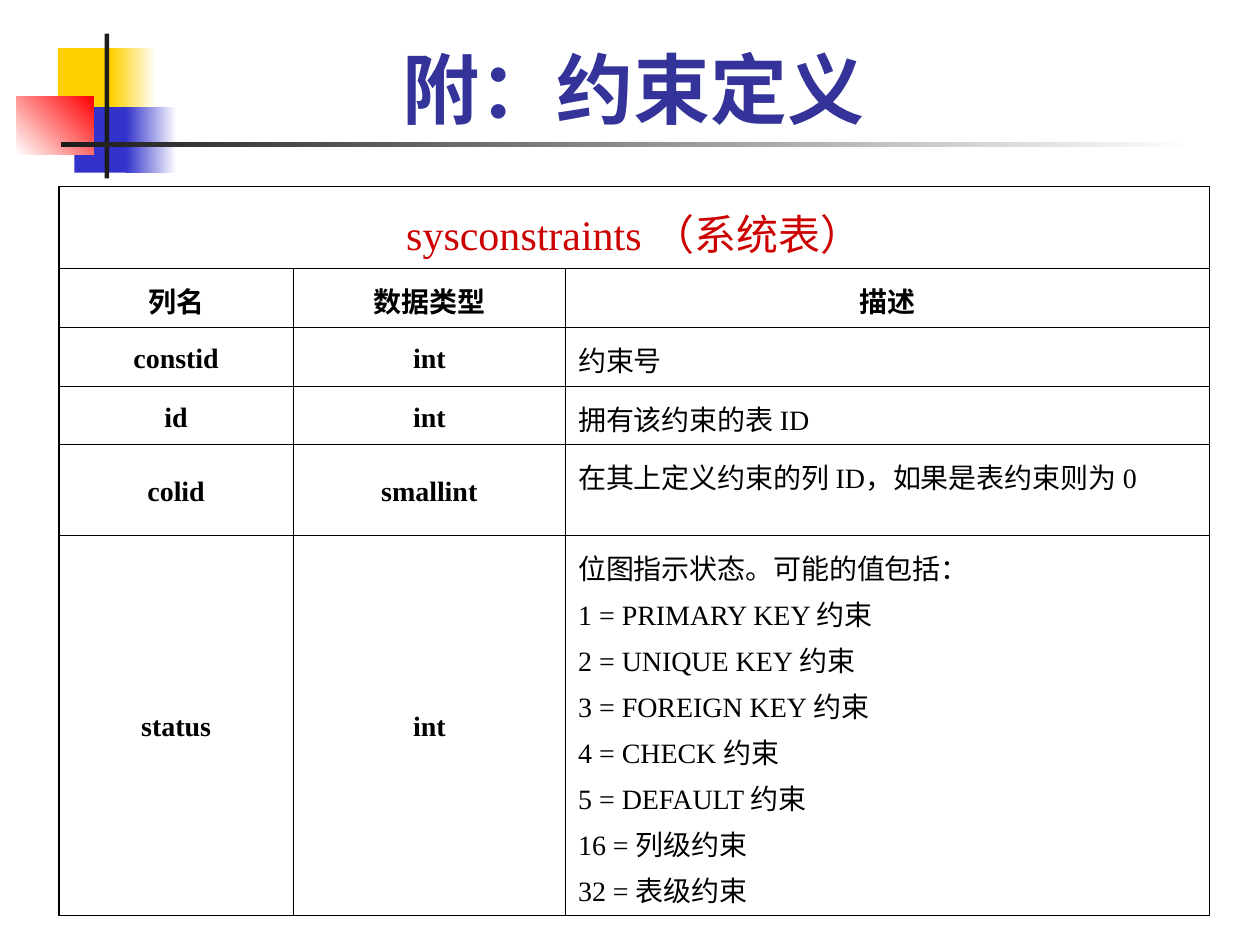
"""Build a slide describing the sysconstraints system table."""
from lxml.etree import SubElement
from pptx import Presentation
from pptx.dml.color import RGBColor
from pptx.enum.shapes import MSO_SHAPE
from pptx.enum.text import MSO_ANCHOR, PP_ALIGN
from pptx.oxml.ns import qn
from pptx.util import Cm, Pt

BLACK = RGBColor(0x00, 0x00, 0x00)
WHITE = RGBColor(0xFF, 0xFF, 0xFF)
CHARCOAL = RGBColor(0x1C, 0x1C, 0x1C)
YELLOW = RGBColor(0xFF, 0xCF, 0x01)
BLUE = RGBColor(0x33, 0x33, 0xCC)
RED = RGBColor(0xFF, 0x00, 0x00)
NAVY = RGBColor(0x33, 0x33, 0x99)
CRIMSON = RGBColor(0xCC, 0x00, 0x00)

TITLE = "附：约束定义"
CAPTION = "sysconstraints （系统表）"
HEADERS = ("列名", "数据类型", "描述")
STATUS_LINES = (
    "位图指示状态。可能的值包括：",
    "1 = PRIMARY KEY 约束",
    "2 = UNIQUE KEY 约束",
    "3 = FOREIGN KEY 约束",
    "4 = CHECK 约束",
    "5 = DEFAULT 约束",
    "16 = 列级约束",
    "32 = 表级约束",
)
FIELDS = (
    ("constid", "int", "约束号"),
    ("id", "int", "拥有该约束的表 ID"),
    ("colid", "smallint", "在其上定义约束的列 ID，如果是表约束则为 0"),
    ("status", "int", "\n".join(STATUS_LINES)),
)
COLUMN_WIDTHS = (4.72, 5.49, 12.98)
ROW_HEIGHTS = (1.65, 1.19, 1.19, 1.17, 1.83, 7.66)

DECORATIONS = (
    ((1.17, 0.97, 1.22, 1.32), (YELLOW,), 0),
    ((2.24, 0.97, 0.91, 1.32), (YELLOW, WHITE), 0),
    ((1.5, 2.16, 1.17, 1.32), (BLUE,), 0),
    ((2.54, 2.16, 1.02, 1.32), (BLUE, WHITE), 0),
    ((0.34, 1.94, 1.55, 1.18), (WHITE, RED), 45),
    ((2.11, 0.68, 0.09, 2.92), (CHARCOAL,), 0),
    ((1.23, 2.87, 22.86, 0.09), (CHARCOAL, WHITE), 0),
)


def add_decoration(page, bounds, colours, angle):
    shape = page.shapes.add_shape(MSO_SHAPE.RECTANGLE, *map(Cm, bounds))
    shape.shadow.inherit = False
    shape.line.fill.background()
    if len(colours) == 1:
        shape.fill.solid()
        shape.fill.fore_color.rgb = colours[0]
        return
    shape.fill.gradient()
    shape.fill.gradient_angle = angle
    for stop, colour in zip(shape.fill.gradient_stops, colours):
        stop.color.rgb = colour


def format_text(frame, size, colour, font, bold, alignment, spacing=None):
    for para in frame.paragraphs:
        para.alignment = alignment
        para.line_spacing = spacing
        for span in para.runs:
            span.font.size = Pt(size)
            span.font.name = font
            span.font.bold = bold
            span.font.color.rgb = colour


def add_borders(cell):
    properties = cell._tc.get_or_add_tcPr()
    for side in ("a:lnL", "a:lnR", "a:lnT", "a:lnB"):
        line = SubElement(properties, qn(side), w=str(Pt(0.75)))
        fill = SubElement(line, qn("a:solidFill"))
        SubElement(fill, qn("a:srgbClr"), val=str(BLACK))


def add_title(page):
    box = page.shapes.add_textbox(Cm(0.99), Cm(0.46), Cm(23.57), Cm(2.36))
    frame = box.text_frame
    frame.word_wrap = True
    frame.vertical_anchor = MSO_ANCHOR.BOTTOM
    frame.text = TITLE
    format_text(frame, 44, NAVY, "Roboto", True, PP_ALIGN.CENTER)


def add_field_table(page):
    rows = ((CAPTION, "", ""), HEADERS, *FIELDS)
    table = page.shapes.add_table(
        len(rows), len(HEADERS), Cm(1.19), Cm(3.76),
        Cm(sum(COLUMN_WIDTHS)), Cm(sum(ROW_HEIGHTS)),
    ).table
    table.first_row = table.horz_banding = False
    for column, width in zip(table.columns, COLUMN_WIDTHS):
        column.width = Cm(width)
    for row, height in zip(table.rows, ROW_HEIGHTS):
        row.height = Cm(height)
    table.cell(0, 0).merge(table.cell(0, len(HEADERS) - 1))

    for row_index, values in enumerate(rows):
        for column_index, value in enumerate(values):
            cell = table.cell(row_index, column_index)
            add_borders(cell)
            cell.fill.background()
            if cell.is_spanned:
                continue
            is_caption = row_index == 0
            is_description = row_index > 1 and column_index == 2
            if row_index > 1 and not is_description:
                cell.vertical_anchor = MSO_ANCHOR.MIDDLE
            cell.text_frame.text = value
            format_text(
                cell.text_frame,
                24 if is_caption else 16,
                CRIMSON if is_caption else BLACK,
                "Times New Roman",
                not (is_caption or is_description),
                PP_ALIGN.LEFT if is_description else PP_ALIGN.CENTER,
                1.14,
            )


def main():
    deck = Presentation()
    deck.slide_width, deck.slide_height = Cm(25.4), Cm(19.05)
    page = deck.slides.add_slide(deck.slide_layouts[6])
    for bounds, colours, angle in DECORATIONS:
        add_decoration(page, bounds, colours, angle)
    add_title(page)
    add_field_table(page)
    deck.save("out.pptx")


if __name__ == "__main__":
    main()
